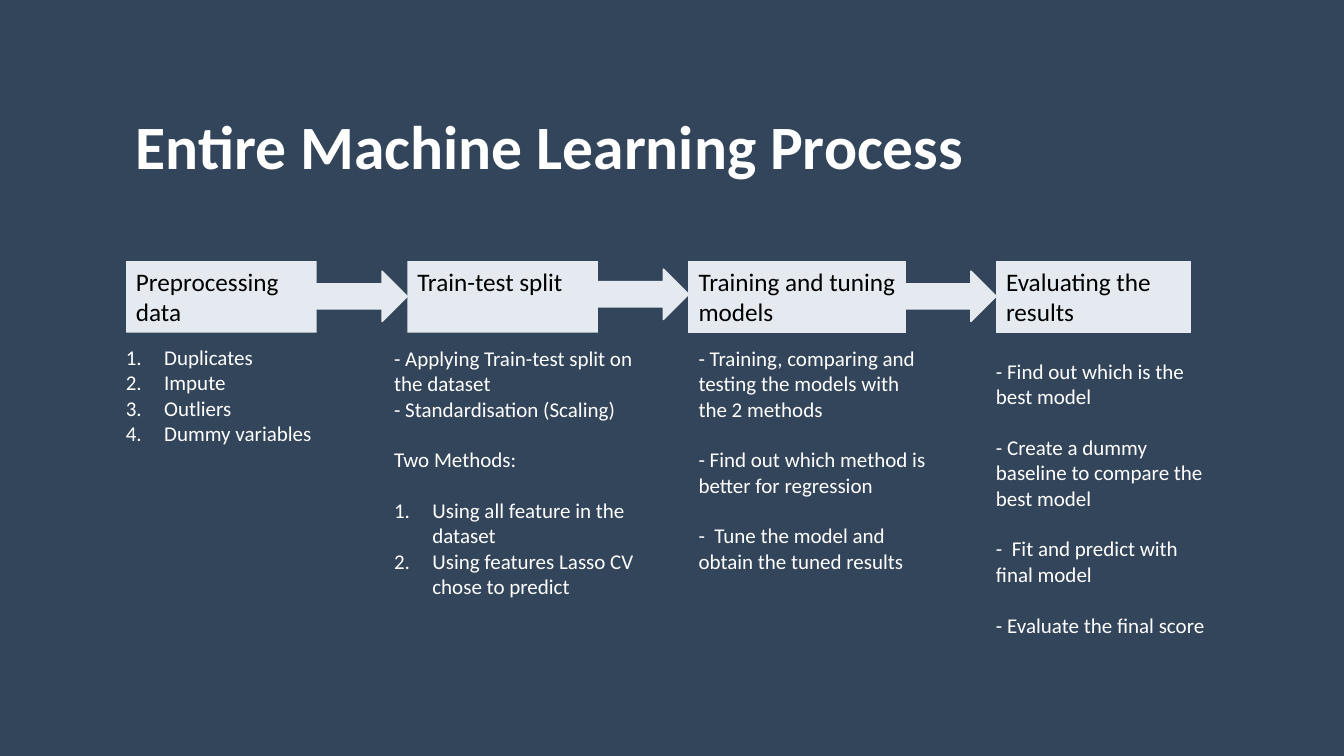
from dataclasses import dataclass
from itertools import pairwise

from lxml.etree import SubElement
from pptx import Presentation
from pptx.dml.color import RGBColor
from pptx.enum.shapes import MSO_SHAPE
from pptx.enum.text import MSO_ANCHOR
from pptx.oxml.ns import qn
from pptx.util import Inches, Pt


@dataclass(frozen=True)
class Theme:
    font: str = "Calibri"
    navy: RGBColor = RGBColor(0x33, 0x45, 0x5B)
    pale: RGBColor = RGBColor(0xE5, 0xEA, 0xF0)
    white: RGBColor = RGBColor(0xFF, 0xFF, 0xFF)
    black: RGBColor = RGBColor(0, 0, 0)
    title: int = 44
    step: int = 18
    body: int = 15
    gap: float = 18.3  # one body line


theme = Theme()


def add_run(p, text, size, color, bold=False):
    r = p.add_run()
    r.text = text
    r.font.name = theme.font
    r.font.size = Pt(size)
    r.font.bold = bold
    r.font.color.rgb = color


def add_block(s, kind, left, top, width, height):
    sp = s.shapes.add_shape(kind, Inches(left), Inches(top), Inches(width), Inches(height))
    sp.shadow.inherit = False
    sp.fill.solid()
    sp.fill.fore_color.rgb = theme.pale
    sp.line.color.rgb = theme.pale
    sp.line.width = Pt(0.75)
    return sp


prs = Presentation()
prs.slide_width, prs.slide_height = Inches(13.33), Inches(7.5)
s = prs.slides.add_slide(prs.slide_layouts[6])
s.background.fill.solid()
s.background.fill.fore_color.rgb = theme.navy

# Title
tf = s.shapes.add_textbox(Inches(1.25), Inches(0.95), Inches(10.83), Inches(0.98)).text_frame
tf.word_wrap = True
tf.vertical_anchor = MSO_ANCHOR.MIDDLE
add_run(tf.paragraphs[0], "Entire Machine Learning Process", theme.title, theme.white, bold=True)

# Process steps: left, width, label, outlined
step_top, step_height = 2.59, 0.71
steps = [
    (1.25, 1.89, "Preprocessing data", False),
    (4.04, 1.89, "Train-test split", False),
    (6.83, 2.15, "Training and tuning models", True),
    (9.88, 1.93, "Evaluating the results", True),
]
for left, width, label, outlined in steps:
    sp = add_block(s, MSO_SHAPE.RECTANGLE, left, step_top, width, step_height)
    if not outlined:
        sp.line.fill.background()
    tf = sp.text_frame
    tf.word_wrap = True
    tf.vertical_anchor = MSO_ANCHOR.TOP
    p = tf.paragraphs[0]
    p.alignment = 1
    add_run(p, label, theme.step, theme.black)

# Arrows fill the gaps between steps
arrow_height = 0.5
arrow_tops = [2.69, 2.67, 2.69]
for (step, following), top in zip(pairwise(steps), arrow_tops):
    start = step[0] + step[1]
    sp = add_block(s, MSO_SHAPE.RIGHT_ARROW, start, top, following[0] - start, arrow_height)
    sp.line.width = Pt(1)

# Details under each step: box, then paragraphs as (style, text)
details = [
    ((1.15, 3.37, 2.28, 1.41), [
        ("number", "Duplicates"),
        ("number", "Impute"),
        ("number", "Outliers"),
        ("number", "Dummy variables"),
    ]),
    ((3.81, 3.38, 2.75, 2.63), [
        ("plain", "- Applying Train-test split on the dataset"),
        ("plain", "- Standardisation (Scaling)"),
        ("spaced", "Two Methods:"),
        ("spaced number", "Using all feature in the dataset"),
        ("number", "Using features Lasso CV chose to predict"),
    ]),
    ((6.83, 3.38, 2.47, 2.63), [
        ("plain", "- Training, comparing and testing the models with the 2 methods"),
        ("spaced", "- Find out which method is better for regression"),
        ("spaced", "-  Tune the model and obtain the tuned results"),
    ]),
    ((9.78, 3.51, 2.3, 3.13), [
        ("plain", "- Find out which is the best model"),
        ("spaced", "- Create a dummy baseline to compare the best model"),
        ("spaced", "-  Fit and predict with final model"),
        ("spaced", "- Evaluate the final score"),
    ]),
]
for box, lines in details:
    tf = s.shapes.add_textbox(*map(Inches, box)).text_frame
    tf.word_wrap = True
    for i, (style, text) in enumerate(lines):
        p = tf.add_paragraph() if i else tf.paragraphs[0]
        if "spaced" in style:
            p.space_before = Pt(theme.gap)
        if "number" in style:
            pPr = p._p.get_or_add_pPr()
            pPr.set("marL", str(Inches(0.38)))
            pPr.set("indent", str(-Inches(0.38)))
            SubElement(pPr, qn("a:buFont"), typeface="+mj-lt")
            SubElement(pPr, qn("a:buAutoNum"), type="arabicPeriod")
        add_run(p, text, theme.body, theme.white)

prs.save("out.pptx")
